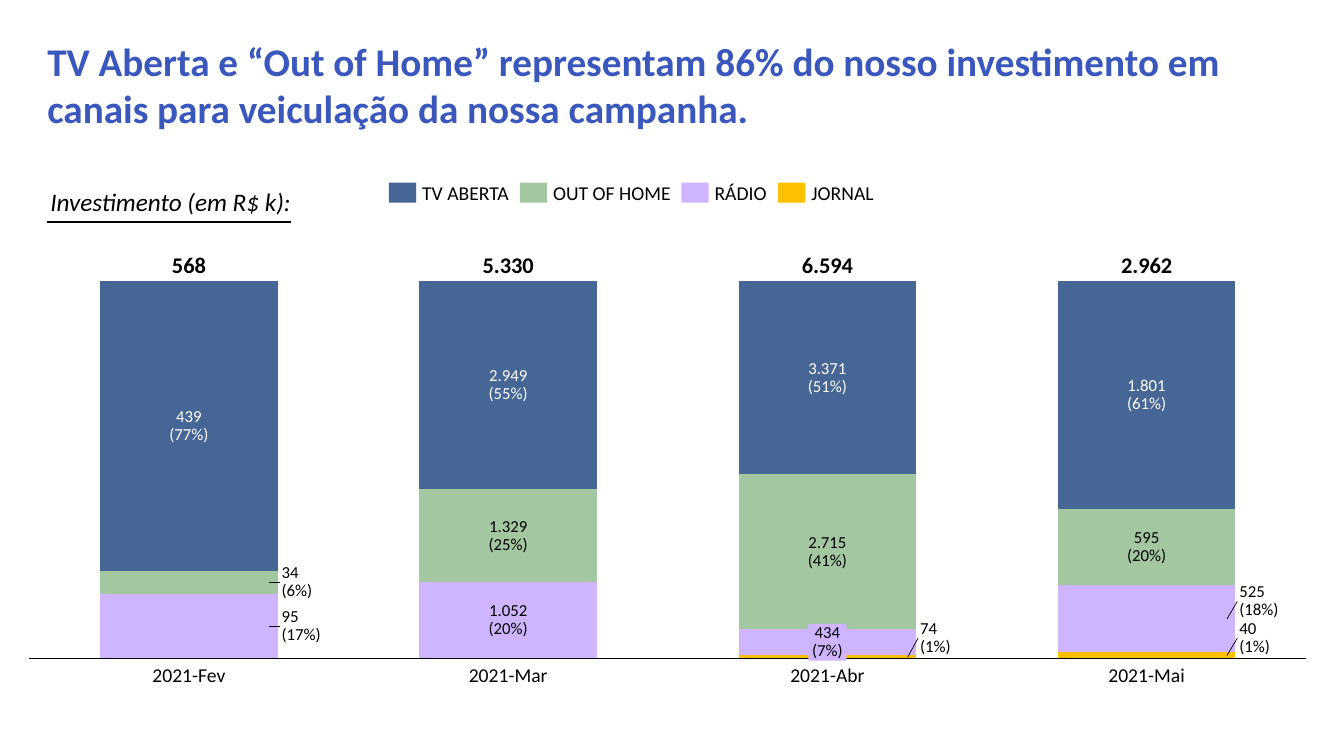
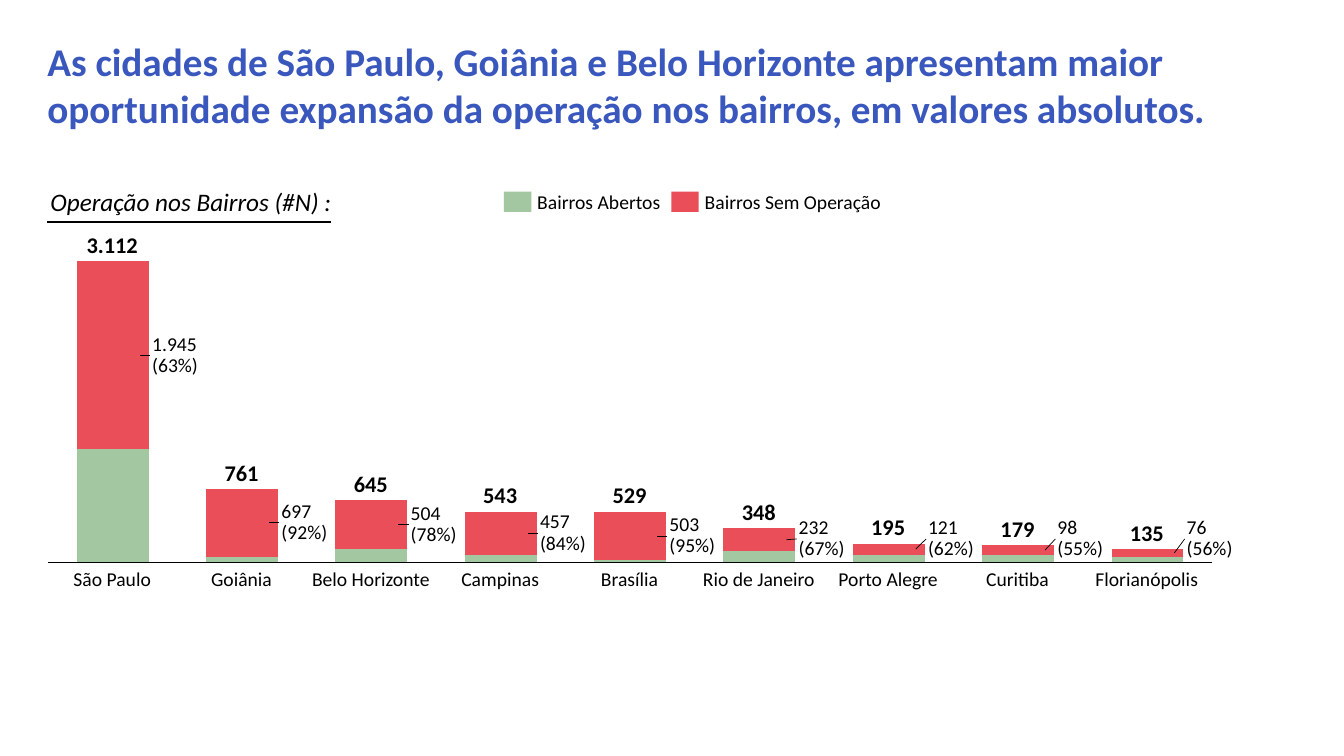
from copy import deepcopy
from dataclasses import dataclass

from lxml import etree
from pptx import Presentation
from pptx.chart.data import CategoryChartData
from pptx.dml.color import RGBColor
from pptx.enum.chart import XL_CHART_TYPE, XL_TICK_LABEL_POSITION, XL_TICK_MARK
from pptx.enum.shapes import MSO_CONNECTOR, MSO_SHAPE
from pptx.enum.text import MSO_ANCHOR, MSO_AUTO_SIZE, PP_ALIGN
from pptx.oxml import parse_xml
from pptx.oxml.ns import nsdecls, qn
from pptx.util import Cm, Pt

STACKED = XL_CHART_TYPE.COLUMN_STACKED
NO_LABELS = XL_TICK_LABEL_POSITION.NONE
NO_TICKS = XL_TICK_MARK.NONE
STRAIGHT = MSO_CONNECTOR.STRAIGHT
RECTANGLE = MSO_SHAPE.RECTANGLE
TOP, MIDDLE, BOTTOM = MSO_ANCHOR.TOP, MSO_ANCHOR.MIDDLE, MSO_ANCHOR.BOTTOM
LEFT, CENTER = PP_ALIGN.LEFT, PP_ALIGN.CENTER
GROW = MSO_AUTO_SIZE.SHAPE_TO_FIT_TEXT

FONT = "Calibri"
BLACK, WHITE, TITLE_BLUE = "000000", "FFFFFF", "3957BD"
NAVY, GREEN, LILAC, YELLOW, RED = "466795", "A3C7A1", "CFB5FF", "FFC000", "EA4E58"

PLOT_INSET = 0.23
GAP_WIDTH = 80
INSIDE, SIDE, BOXED = "inside", "side", "boxed"


@dataclass
class Segment:
    colour: str
    height: int
    value: str = ""
    percent: int = 0
    placement: str = INSIDE


@dataclass
class Column:
    name: str
    total: str
    segments: list


@dataclass
class Frame:
    left: float
    top: float
    width: float
    height: float
    maximum: int
    count: int

    @property
    def bottom(self):
        return self.top + self.height - PLOT_INSET

    @property
    def step(self):
        return (self.width - 2 * PLOT_INSET) / self.count

    @property
    def bar_width(self):
        return self.step / (1 + GAP_WIDTH / 100)

    def center(self, index):
        return self.left + PLOT_INSET + self.step * (index + 0.5)

    def level(self, value):
        plot_height = self.height - 2 * PLOT_INSET
        return self.bottom - min(value, self.maximum) / self.maximum * plot_height


CAMPAIGN = [
    Column("2021-Fev", "568", [
        Segment(LILAC, 22, "95", 17, SIDE), Segment(GREEN, 8, "34", 6, SIDE),
        Segment(NAVY, 100, "439", 77), Segment(YELLOW, 0)]),
    Column("2021-Mar", "5.330", [
        Segment(LILAC, 26, "1.052", 20), Segment(GREEN, 32, "1.329", 25),
        Segment(NAVY, 72, "2.949", 55), Segment(YELLOW, 0)]),
    Column("2021-Abr", "6.594", [
        Segment(YELLOW, 1, "74", 1, SIDE), Segment(LILAC, 9, "434", 7, BOXED),
        Segment(GREEN, 53, "2.715", 41), Segment(NAVY, 66, "3.371", 51)]),
    Column("2021-Mai", "2.962", [
        Segment(YELLOW, 2, "40", 1, SIDE), Segment(LILAC, 23, "525", 18, SIDE),
        Segment(GREEN, 26, "595", 20), Segment(NAVY, 79, "1.801", 61)]),
]

CITIES = [
    Column(city, total, [Segment(GREEN, opened), Segment(RED, closed, value, percent, SIDE)])
    for city, total, opened, closed, value, percent in [
        ("São Paulo", "3.112", 60, 100, "1.945", 63),
        ("Goiânia", "761", 3, 36, "697", 92),
        ("Belo Horizonte", "645", 7, 26, "504", 78),
        ("Campinas", "543", 4, 23, "457", 84),
        ("Brasília", "529", 1, 26, "503", 95),
        ("Rio de Janeiro", "348", 6, 12, "232", 67),
        ("Porto Alegre", "195", 4, 6, "121", 62),
        ("Curitiba", "179", 4, 5, "98", 55),
        ("Florianópolis", "135", 3, 4, "76", 56),
    ]
]


def rgb(value):
    return RGBColor.from_string(value)


def paint(fill, colour):
    fill.solid()
    fill.fore_color.rgb = rgb(colour)


def write(shape, text, size=14, colour=BLACK, bold=False, italic=False, align=LEFT,
          anchor=TOP, spacing=0.9, inset=None, wrap=False, grow=False):
    frame = shape.text_frame
    frame.word_wrap = wrap
    frame.vertical_anchor = anchor
    if grow:
        frame.auto_size = GROW
    if inset is not None:
        frame.margin_left = frame.margin_right = Cm(inset)
        frame.margin_top = frame.margin_bottom = Cm(0)
    paragraph = frame.paragraphs[0]
    paragraph.alignment = align
    paragraph.line_spacing = spacing
    paragraph.text = text
    for run in paragraph.runs:
        run.font.name = FONT
        run.font.size = Pt(size)
        run.font.bold = bold
        run.font.italic = italic
        run.font.color.rgb = rgb(colour)
    for line_break in paragraph._p.findall(qn("a:br")):
        line_break.append(deepcopy(paragraph.runs[0]._r.rPr))


def add_text(slide, left, top, width, height, text, **style):
    shape = slide.shapes.add_textbox(Cm(left), Cm(top), Cm(width), Cm(height))
    write(shape, text, **style)
    return shape


def add_swatch(slide, left, top, colour):
    shape = slide.shapes.add_shape(RECTANGLE, Cm(left), Cm(top), Cm(0.69), Cm(0.51))
    shape.shadow.inherit = False
    paint(shape.fill, colour)
    shape.line.fill.background()


def add_line(slide, start, end, width):
    line = slide.shapes.add_connector(STRAIGHT, *map(Cm, start + end))
    line.line.width = Pt(width)
    line.line.color.rgb = rgb(BLACK)
    etree.SubElement(line._element.spPr, qn("a:effectLst"))


def add_heading(slide, title, subtitle, underline_end):
    shape = slide.shapes.title
    shape.left, shape.top, shape.width, shape.height = map(Cm, (0.94, 0.81, 32, 2.64))
    write(shape, title, size=28, colour=TITLE_BLUE, bold=True, spacing=1, wrap=True, grow=True)
    add_text(slide, 1.02, 4.57, 7.67, 1.02, subtitle, size=18, italic=True,
             spacing=1, wrap=True, grow=True)
    add_line(slide, (1.19, 5.59), (underline_end, 5.59), 1.5)


def add_legend(slide, left, top, entries):
    for name, colour, width in entries:
        add_swatch(slide, left, top, colour)
        add_text(slide, left + 0.84, top + 0.02, width + 0.2, 0.53, name,
                 anchor=MIDDLE, inset=0)
        left += 0.84 + width + 0.28


def place_plot(chart, frame):
    inset_x, inset_y = PLOT_INSET / frame.width, PLOT_INSET / frame.height
    values = {"x": inset_x, "y": inset_y, "w": 1 - 2 * inset_x, "h": 1 - 2 * inset_y}
    settings = '<c:layoutTarget val="inner"/><c:xMode val="edge"/><c:yMode val="edge"/>'
    settings += "".join(f'<c:{key} val="{value:.3f}"/>' for key, value in values.items())
    layout = parse_xml(f'<c:layout {nsdecls("c")}><c:manualLayout>{settings}'
                       '</c:manualLayout></c:layout>')
    plot_area = chart._chartSpace.chart.plotArea
    for previous in plot_area.findall(qn("c:layout")):
        plot_area.remove(previous)
    plot_area.insert(0, layout)


def format_axes(chart, maximum):
    value_axis = chart.value_axis
    value_axis.minimum_scale = 0
    value_axis.maximum_scale = maximum
    value_axis.has_major_gridlines = False
    value_axis.visible = False
    category_axis = chart.category_axis
    category_axis.tick_label_position = NO_LABELS
    category_axis.major_tick_mark = NO_TICKS
    category_axis.minor_tick_mark = NO_TICKS
    category_axis.format.line.width = Pt(0.75)
    category_axis.format.line.color.rgb = rgb(BLACK)


def add_stacked_chart(slide, frame, columns):
    layers = list(zip(*(column.segments for column in columns)))
    data = CategoryChartData()
    data.categories = [column.name for column in columns]
    for number, layer in enumerate(layers, 1):
        data.add_series(f"Series {number}", [segment.height for segment in layer])
    chart = slide.shapes.add_chart(STACKED, Cm(frame.left), Cm(frame.top),
                                   Cm(frame.width), Cm(frame.height), data).chart
    chart.has_legend = False
    chart.has_title = False
    chart.font.name = FONT
    chart.font.size = Pt(10)
    chart.font.color.rgb = rgb(BLACK)
    plot = chart.plots[0]
    plot.gap_width = GAP_WIDTH
    plot.overlap = 100
    plot.vary_by_categories = False
    for series, layer in zip(plot.series, layers):
        paint(series.format.fill, layer[0].colour)
        for index, segment in enumerate(layer):
            if segment.colour != layer[0].colour:
                paint(series.points[index].format.fill, segment.colour)
    format_axes(chart, frame.maximum)
    place_plot(chart, frame)


def add_segment_labels(slide, frame, center, segments, size):
    height = size / 13
    side_left = center + frame.bar_width / 2 + 0.05
    lowest = frame.bottom - height / 2 - 0.05
    base = 0
    for segment in segments:
        middle = (frame.level(base) + frame.level(base + segment.height)) / 2
        base += segment.height
        if not segment.value:
            continue
        percent = f"({segment.percent}%)"
        width = size * len(percent) / 50
        left, label_middle, align = center - width / 2, middle, CENTER
        if segment.placement == SIDE:
            left, label_middle, align = side_left, min(middle, lowest), LEFT
            lowest = label_middle - height
            add_line(slide, (left, label_middle), (left - 0.26, middle), 0.5)
        label = add_text(slide, left, label_middle - height / 2, width, height,
                         f"{segment.value}\n{percent}", size=size, align=align,
                         colour=WHITE if segment.colour == NAVY else BLACK,
                         anchor=MIDDLE, inset=0.05)
        if segment.placement == BOXED:
            paint(label.fill, segment.colour)


def add_column_labels(slide, frame, columns, size):
    for index, column in enumerate(columns):
        center = frame.center(index)
        add_segment_labels(slide, frame, center, column.segments, size)
        name_width = 0.2 * len(column.name) + 0.7
        add_text(slide, center - name_width / 2, frame.bottom + 0.19, name_width, 0.53,
                 column.name, align=CENTER, inset=0)
        total_width = 0.22 * len(column.total) + 0.45
        top = frame.level(sum(segment.height for segment in column.segments))
        add_text(slide, center - total_width / 2, top - 0.68, total_width, 0.61,
                 column.total, size=16, bold=True, align=CENTER, anchor=BOTTOM, inset=0.08)


def add_chart_slide(presentation, title, subtitle, underline_end, frame, columns, label_size):
    slide = presentation.slides.add_slide(presentation.slide_layouts[5])
    add_heading(slide, title, subtitle, underline_end)
    add_stacked_chart(slide, frame, columns)
    add_column_labels(slide, frame, columns, label_size)
    return slide


def main():
    presentation = Presentation()
    presentation.slide_width = Cm(33.87)
    presentation.slide_height = Cm(19.05)

    campaign = add_chart_slide(
        presentation,
        "TV Aberta e “Out of Home” representam 86% do nosso investimento em canais "
        "para veiculação da nossa campanha.",
        "Investimento (em R$ k):", 7.34,
        Frame(0.51, 6.86, 32.64, 9.96, 129, len(CAMPAIGN)), CAMPAIGN, 12)
    add_legend(campaign, 9.8, 4.6, [
        ("TV ABERTA", NAVY, 2.18), ("OUT OF HOME", GREEN, 2.95),
        ("RÁDIO", LILAC, 1.32), ("JORNAL", YELLOW, 1.57)])

    cities = add_chart_slide(
        presentation,
        "As cidades de São Paulo, Goiânia e Belo Horizonte apresentam maior oportunidade "
        "expansão da operação nos bairros, em valores absolutos.",
        "Operação nos Bairros (#N) :", 8.33,
        Frame(0.97, 6.35, 29.79, 8.05, 160, len(CITIES)), CITIES, 14)
    add_legend(cities, 12.7, 4.83, [
        ("Bairros Abertos", GREEN, 3.1), ("Bairros Sem Operação", RED, 4.42)])

    presentation.save("out.pptx")


main()
